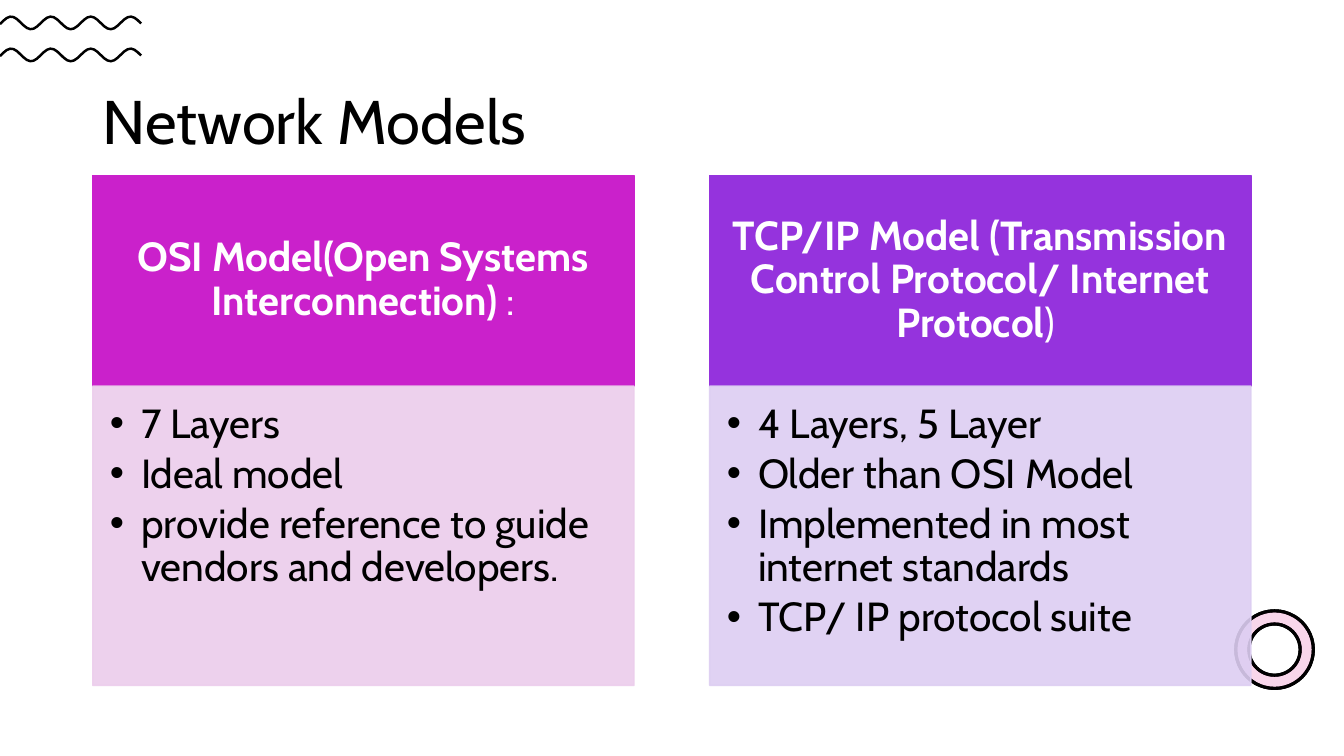
"""Build the Network Models slide, laid out on a grid of 160 columns by 90 rows."""
import math
from dataclasses import dataclass

from lxml import etree
from pptx import Presentation
from pptx import util as u
from pptx.dml import color
from pptx.dml.fill import FillFormat
from pptx.enum import shapes, text
from pptx.oxml.ns import qn
from pptx.shapes.autoshape import Shape
from pptx.slide import Slide
from pptx.text.text import TextFrame, _Paragraph

FONT = "Cabin"
BLACK, WHITE = "000000", "FFFFFF"
CELL = u.Inches(1 / 12)
COLS, ROWS = 160, 90
LEFT, WIDTH = 11.04, 64.44
HEAD_TOP, HEAD_ROWS = 20.88, 25.08
BODY_ROWS = 35.64


@dataclass(frozen=True)
class Box:
    """A rectangle in grid columns and rows."""
    col: float
    row: float
    cols: float
    rows: float


@dataclass(frozen=True)
class Model:
    """One network model: its heading, points and colours."""
    col: float
    heading: str
    tail: str
    points: tuple[str, ...]
    strong: str
    pale: str


MODELS = (
    Model(LEFT, "OSI Model(Open Systems Interconnection) ", ":",
          ("7 Layers", "Ideal model",
           "provide reference to guide vendors and developers."),
          "CA21CB", "ECCDEC"),
    Model(84.48, "TCP/IP Model (Transmission Control Protocol/ Internet Protocol", ") ",
          ("4 Layers, 5 Layer", "Older than OSI Model",
           "Implemented in most internet standards", "TCP/ IP protocol suite"),
          "9533DD", "DDCEF2"),
)


def grid(cells: float) -> int:
    """Turn a number of grid cells into a length."""
    return round(cells * CELL)


def paint(fill: FillFormat, colour: str, alpha: int = 100) -> None:
    """Give a fill a solid colour with an opacity in percent."""
    fill.solid()
    fill.fore_color.rgb = color.RGBColor.from_string(colour)
    if alpha < 100:
        clr = fill._xPr.find(f"{qn('a:solidFill')}/{qn('a:srgbClr')}")
        etree.SubElement(clr, qn("a:alpha"), val=str(alpha * 1000))


def place(sp: Shape, box: Box) -> None:
    """Move and size a shape on the grid."""
    sp.left, sp.top = grid(box.col), grid(box.row)
    sp.width, sp.height = grid(box.cols), grid(box.rows)


def set_frame(tf: TextFrame, anchor: text.MSO_ANCHOR, *insets: float) -> None:
    """Set anchor and the left, top, right and bottom insets in inches."""
    tf.word_wrap = True
    tf.auto_size = text.MSO_AUTO_SIZE.NONE
    tf.vertical_anchor = anchor
    tf.margin_left, tf.margin_top, tf.margin_right, tf.margin_bottom = map(u.Inches, insets)


def style(p: _Paragraph, size: float, colour: str, align: text.PP_ALIGN,
          after: float = 0, bold: bool = False) -> None:
    """Format a paragraph and all its runs."""
    p.alignment, p.line_spacing = align, 0.9
    p.space_before, p.space_after = u.Pt(0), u.Pt(after)
    for r in p.runs:
        r.font.name, r.font.size, r.font.bold = FONT, u.Pt(size), bold
        paint(r.font.fill, colour)


def add_bullet(p: _Paragraph) -> None:
    """Give a paragraph a round bullet with a hanging indent."""
    pPr = p._p.get_or_add_pPr()
    hang = u.Inches(0.31)
    pPr.set("marL", str(hang))
    pPr.set("indent", str(-hang))
    etree.SubElement(pPr, qn("a:buChar"), char="•")


def add_panel(slide: Slide, sp: Shape, box: Box, colour: str, alpha: int = 100) -> TextFrame:
    """Place a coloured placeholder in front and return its text frame."""
    slide.shapes.element.append(sp.element)
    place(sp, box)
    paint(sp.fill, colour, alpha)
    paint(sp.line.fill, colour, alpha)
    sp.line.width = u.Pt(1)
    return sp.text_frame


def add_model(slide: Slide, head: Shape, body: Shape, model: Model) -> None:
    """Fill the heading and list of one model."""
    tf = add_panel(slide, head, Box(model.col, HEAD_TOP, WIDTH, HEAD_ROWS), model.strong)
    set_frame(tf, text.MSO_ANCHOR.MIDDLE, 0.2, 0.13, 0.2, 0.13)
    tf.text = model.heading
    p = tf.paragraphs[0]
    p.add_run().text = model.tail
    style(p, 29, WHITE, text.PP_ALIGN.CENTER, 10, bold=True)
    p.runs[-1].font.bold = False

    box = Box(model.col, HEAD_TOP + HEAD_ROWS, WIDTH, BODY_ROWS)
    tf = add_panel(slide, body, box, model.pale, 90)
    set_frame(tf, text.MSO_ANCHOR.TOP, 0.17, 0.17, 0.23, 0.25)
    tf.text = "\n".join(model.points)
    for p in tf.paragraphs:
        style(p, 29, BLACK, text.PP_ALIGN.LEFT, 4.35)
        add_bullet(p)


def add_wave(slide: Slide, middle: float) -> None:
    """Draw a wavy band of even thickness around a middle row."""
    length, period, crest, height, half = 16.8, 4.74, 1.32, 0.75, 0.15
    steps = 42
    upper, lower = [], []
    for i in range(steps + 1):
        x = length * i / steps
        turn = 2 * math.pi * (x - crest) / period
        y = middle - height * math.cos(turn)
        slope = height * 2 * math.pi / period * math.sin(turn)
        norm = half / math.hypot(1, slope)
        upper.append((grid(x + slope * norm), grid(y - norm)))
        lower.append((grid(x - slope * norm), grid(y + norm)))
    outline = upper + lower[::-1]
    builder = slide.shapes.build_freeform(*outline[0])
    builder.add_line_segments(outline[1:], close=True)
    sp = builder.convert_to_shape()
    sp.shadow.inherit = False
    paint(sp.fill, BLACK)
    sp.line.fill.background()


def add_ring(slide: Slide, colour: str, alpha: int) -> None:
    """Draw the outlined ring in the lower right corner."""
    sp = slide.shapes.add_shape(shapes.MSO_SHAPE.DONUT, 0, 0, 0, 0)
    place(sp, Box(147.12, 72.72, 9.24, 9.24))
    sp.adjustments[0] = 0.17
    sp.shadow.inherit = False
    paint(sp.fill, colour, alpha)
    paint(sp.line.fill, BLACK)
    sp.line.width = u.Pt(2.25)


def main() -> None:
    """Build and save the slide."""
    prs = Presentation()
    prs.slide_width, prs.slide_height = grid(COLS), grid(ROWS)
    slide = prs.slides.add_slide(prs.slide_layouts.get_by_name("Comparison"))

    title = slide.shapes.title
    place(title, Box(LEFT, 7.44, 138, 14.76))
    title.text_frame.text = "Network Models"
    set_frame(title.text_frame, text.MSO_ANCHOR.MIDDLE, 0.1, 0.05, 0.1, 0.05)
    style(title.text_frame.paragraphs[0], 44, BLACK, text.PP_ALIGN.LEFT)

    for middle in (6.54, 2.73):
        add_wave(slide, middle)
    for colour, alpha in ((WHITE, 100), ("DD3397", 20)):
        add_ring(slide, colour, alpha)

    holders = list(slide.placeholders)[1:]
    for model, head, body in zip(MODELS, holders[::2], holders[1::2]):
        add_model(slide, head, body, model)
    prs.save("out.pptx")


if __name__ == "__main__":
    main()
